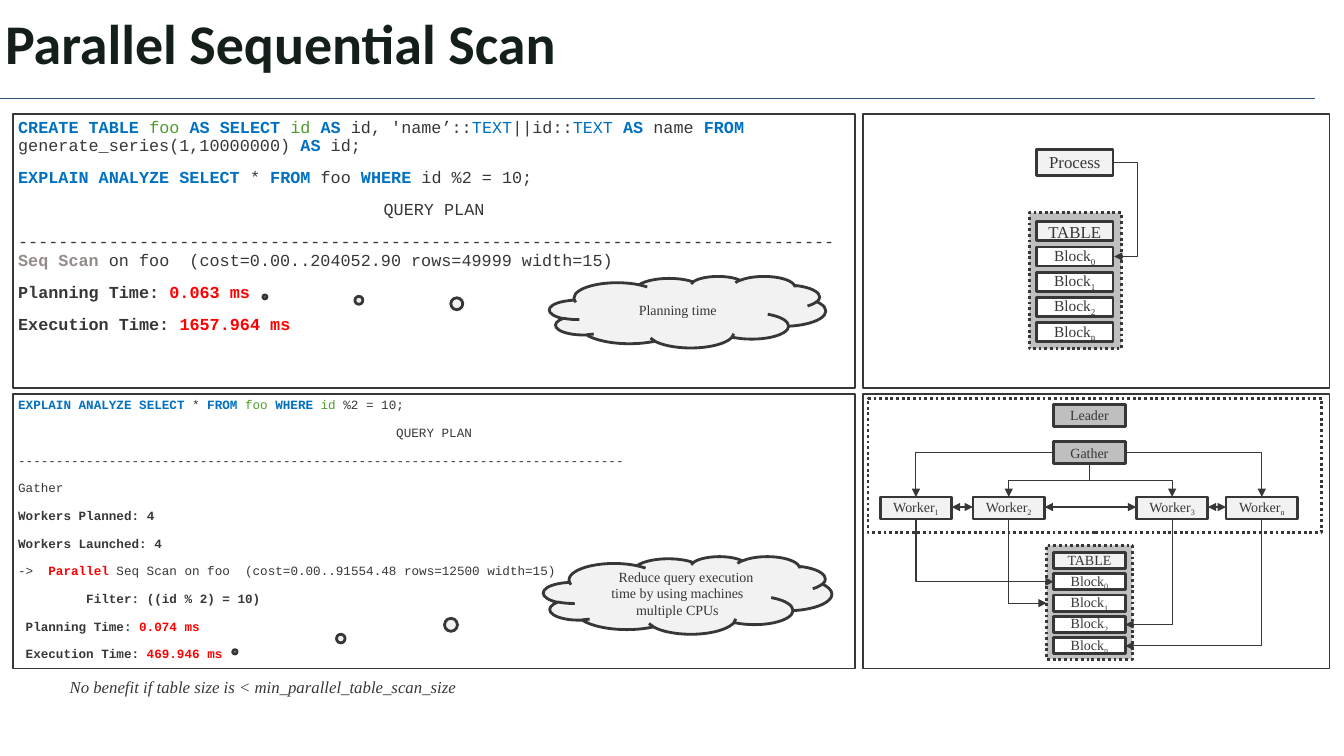
from dataclasses import dataclass
from typing import NamedTuple

from lxml.etree import SubElement as Sub
from pptx import Presentation
from pptx.dml.color import RGBColor as Rgb
from pptx.enum.dml import MSO_LINE as Dash
from pptx.enum.shapes import MSO_CONNECTOR as Link, MSO_SHAPE as Form
from pptx.enum.text import MSO_ANCHOR as Anchor, PP_ALIGN as Align
from pptx.oxml.ns import qn
from pptx.util import Emu, Inches, Pt


@dataclass(frozen=True)
class Theme:
    ink: str = "373737"
    title: str = "141F19"
    rule: str = "2F567D"
    blue: str = "0070C0"
    green: str = "4E9E2C"
    grey: str = "958B8B"
    red: str = "FF0000"
    pale: str = "F2F2F2"
    mid: str = "BFBFBF"
    white: str = "FFFFFF"
    head: str = "Calibri"
    mono: str = "Courier New"
    serif: str = "Times New Roman"
    huge: float = 40
    large: float = 12
    block: float = 11
    small: float = 10
    tiny: float = 9
    thin: float = 0.75
    fine: float = 1
    thick: float = 2


class Box(NamedTuple):
    """Columns and rows of the slide grid."""
    x: float
    y: float
    w: float
    h: float

    @property
    def mid(self) -> tuple[float, float]:
        return self.x + self.w / 2, self.y + self.h / 2


class Bit(NamedTuple):
    text: str
    hue: str = Theme.ink
    bold: bool = False
    slant: bool = False
    sub: bool = False


class Line(NamedTuple):
    bits: list[Bit]
    mid: bool = False


class Node(NamedTuple):
    box: Box
    text: str
    sub: str
    fill: str
    size: float


T = Theme()
CELL = Inches(0.1)  # one column or row of the grid

deck = Presentation()
deck.slide_width, deck.slide_height = Inches(13.33), Inches(7.5)
page = deck.slides.add_slide(deck.slide_layouts[6]).shapes


def grid(*cells: float) -> list[Emu]:
    return [Emu(round(n * CELL)) for n in cells]


# Text
def write(shape, lines: list[Line], font: str, size: float, inset: float = 0.5,
          space: float = 10, lead: float = 0.9, anchor=Anchor.TOP) -> None:
    frame = shape.text_frame
    frame.word_wrap, frame.vertical_anchor = True, anchor
    frame.margin_left, frame.margin_right = grid(inset, inset)
    frame.margin_top, frame.margin_bottom = grid(0.5, 0.5)
    for i, line in enumerate(lines):
        para = frame.add_paragraph() if i else frame.paragraphs[0]
        para.alignment = Align.CENTER if line.mid else Align.LEFT
        para.line_spacing = lead
        if i:
            para.space_before = Pt(space)
        for bit in line.bits:
            run = para.add_run()
            run.text = bit.text
            run.font.name, run.font.size = font, Pt(size)
            run.font.bold, run.font.italic = bit.bold, bit.slant
            run.font.color.rgb = Rgb.from_string(bit.hue)
            if bit.sub:
                run.font._element.set("baseline", "-25000")


# Shapes
def draw(box: Box, fill: str = "", width: float = T.thick, form=Form.RECTANGLE,
         dots: bool = False):
    shape = page.add_shape(form, *grid(*box))
    shape.shadow.inherit = False
    if fill:
        shape.fill.solid()
        shape.fill.fore_color.rgb = Rgb.from_string(fill)
    else:
        shape.fill.background()
    shape.line.color.rgb = Rgb.from_string(T.ink)
    shape.line.width = Pt(width)
    if dots:
        shape.line.dash_style = Dash.ROUND_DOT
    return shape


def place(node: Node) -> None:
    bits = [Bit(node.text)] + ([Bit(node.sub, sub=True)] if node.sub else [])
    write(draw(node.box, node.fill), [Line(bits, True)], T.serif, node.size,
          inset=1, lead=1, anchor=Anchor.MIDDLE)


def label(box: Box, bit: Bit, font: str, size: float, anchor=Anchor.TOP) -> None:
    write(page.add_textbox(*grid(*box)), [Line([bit])], font, size, anchor=anchor)


def cloud(box: Box, text: str, tip: tuple[float, float], shift: float = 0) -> None:
    shape = draw(box, T.pale, form=Form.CLOUD_CALLOUT)
    shape.adjustments[0], shape.adjustments[1] = tip
    write(shape, [Line([Bit(text)], True)], T.serif, T.small, inset=1, lead=1,
          anchor=Anchor.MIDDLE)
    if shift:
        props = shape.text_frame.paragraphs[0]._p.get_or_add_pPr()
        props.set("indent", str(grid(shift)[0]))


# Lines and arrows
def join(start: tuple, end: tuple, bend: str = "", down: bool = False,
         turn: float = 0, ends: tuple = ("tailEnd",), hue: str = T.ink,
         width: float = T.thin) -> None:
    (x1, y1), (x2, y2) = start, end
    if down:  # a path that leaves downward is a turned sideways path
        cx, cy, dx, dy = (x1 + x2) / 2, (y1 + y2) / 2, x2 - x1, y2 - y1
        x1, y1, x2, y2 = cx - dy / 2, cy + dx / 2, cx + dy / 2, cy - dx / 2
    kind = Link.ELBOW if bend else Link.STRAIGHT
    link = page.add_connector(kind, *grid(x1, y1, x2, y2))
    link.line.color.rgb = Rgb.from_string(hue)
    link.line.width = Pt(width)
    props = link._element.spPr
    if down:
        props.find(qn("a:xfrm")).set("rot", str(90 * 60000))
    if bend:
        geom = props.find(qn("a:prstGeom"))
        geom.set("prst", bend)
        if turn:
            Sub(geom.find(qn("a:avLst")), qn("a:gd"), name="adj1",
                fmla=f"val {round(turn * 100000)}")
    for end_name in ends:
        Sub(props.find(qn("a:ln")), qn(f"a:{end_name}"), type="triangle")
    Sub(props, qn("a:effectLst"))


def key(text: str) -> Bit:
    return Bit(text, T.blue, True)


def bold(text: str) -> Bit:
    return Bit(text, bold=True)


def hot(text: str) -> Bit:
    return Bit(text, T.red, True)


# Title and rule
label(Box(0, 0.6, 130.4, 7.9), Bit("Parallel Sequential Scan", T.title, True),
      T.head, T.huge, Anchor.MIDDLE)
join((130.4, 9.8), (0, 9.8), ends=(), hue=T.rule, width=T.fine)

# Code panels on the left, empty panels on the right
PLAN = Line([Bit("QUERY PLAN")], True)
SERIAL = [
    Line([key("CREATE TABLE "), Bit("foo ", T.green), key("AS SELECT "),
          Bit("id ", T.green), key("AS"), Bit(" id, 'name’::"), Bit("TEXT", T.blue),
          Bit("||id::"), Bit("TEXT ", T.blue), key("AS"), Bit(" name "), key("FROM"),
          Bit(" generate_series(1,10000000) "), key("AS"), Bit(" id;")]),
    Line([key("EXPLAIN ANALYZE SELECT"), Bit(" * "), key("FROM"), Bit(" foo "),
          key("WHERE"), Bit(" id %2 = 10;")]),
    PLAN,
    Line([Bit("-" * 81), Bit("Seq Scan ", T.grey, True),
          Bit("on foo  (cost=0.00..204052.90 rows=49999 width=15)")]),
    Line([bold("Planning Time: "), hot("0.063 ms")]),
    Line([bold("Execution Time: "), hot("1657.964 ms")]),
]
SPREAD = [
    Line([key("EXPLAIN ANALYZE SELECT"), Bit(" * "), key("FROM "), Bit("foo ", T.green),
          key("WHERE "), Bit("id", T.green), Bit(" %2 = 10;")]),
    PLAN,
    Line([Bit("-" * 80)]),
    Line([Bit("Gather")]),
    Line([bold("Workers Planned: 4")]),
    Line([bold("Workers Launched: 4")]),
    Line([Bit("->  "), hot("Parallel"),
          Bit(" Seq Scan on foo  (cost=0.00..91554.48 rows=12500 width=15)")]),
    Line([bold("         Filter: ((id % 2) = 10)")]),
    Line([bold(" Planning Time: "), hot("0.074 ms")]),
    Line([bold(" Execution Time: "), hot("469.946 ms")]),
]
for top, code, size in ((11.3, SERIAL, T.large), (39.1, SPREAD, T.tiny)):
    draw(Box(85.6, top, 46.3, 27.2), width=T.fine)
    write(draw(Box(1.3, top, 83.5, 27.2), width=T.fine), code, T.mono, size)
label(Box(6.4, 66.9, 96.9, 5),
      Bit("No benefit if table size is < min_parallel_table_scan_size", slant=True),
      T.serif, T.large)


# Table with its stack of blocks
def stack(frame: Box, first: Box, step: float, head: float, size: float) -> list[Box]:
    draw(frame, T.mid, dots=True)
    rows = [first._replace(y=first.y + step * i) for i in range(5)]
    place(Node(rows[0], "TABLE", "", T.pale, head))
    for row, sub in zip(rows[1:], "012n"):
        place(Node(row, "Block", sub, T.white, size))
    return rows[1:]


# One process reads the table
lone = Box(102.8, 14.8, 7.6, 2.6)
place(Node(lone, "Process", "", T.pale, T.large))
rows = stack(Box(102.1, 21.1, 9.1, 13.5), Box(102.8, 22, 7.6, 1.9), 2.5, T.large, T.block)
join((110.4, lone.mid[1]), (110.5, rows[0].mid[1]), "bentConnector3", turn=25)

# Leader, gather and workers
rows = stack(Box(103.8, 54.1, 8.5, 11.3), Box(104.5, 54.8, 7.1, 1.6), 2.12, T.small, T.small)
lead = Box(104.5, 40.1, 7.1, 2.2)
gather = lead._replace(y=43.8)
crew = [lead._replace(x=x, y=49.3) for x in (87.3, 96.5, 112.7, 121.6)]
place(Node(lead, "Leader", "", T.mid, T.small))
place(Node(gather, "Gather", "", T.mid, T.small))
for box, sub in zip(crew, "123n"):
    place(Node(box, "Worker", sub, T.pale, T.small))
for left, right in zip(crew, crew[1:]):
    join((right.x, 50.3), (left.x + left.w, 50.3), ends=("headEnd", "tailEnd"))

# Gather to workers, then workers to blocks
sides = (gather.x, None, None, gather.x + gather.w)
goals = (104.5, 103.8, 111.6, 111.6)
for box, row, side, goal in zip(crew, rows, sides, goals):
    top = (box.mid[0], box.y)
    if side is None:
        join((gather.mid[0], gather.y + gather.h), top, "bentConnector3", down=True)
    else:
        join((side, gather.mid[1]), top, "bentConnector2")
    join((box.mid[0], box.y + box.h), (goal, row.mid[1]), "bentConnector2", down=True)
draw(Box(86.1, 39.5, 45, 13.3), dots=True)

# Remarks
cloud(Box(53.9, 55.2, 28.6, 7.7),
      "Reduce query execution time by using machines multiple CPUs", (-1.57, 0.73), 1.7)
cloud(Box(54.5, 27.4, 27.4, 7.1), "Planning time", (-1.53, -0.21))

deck.save("out.pptx")
